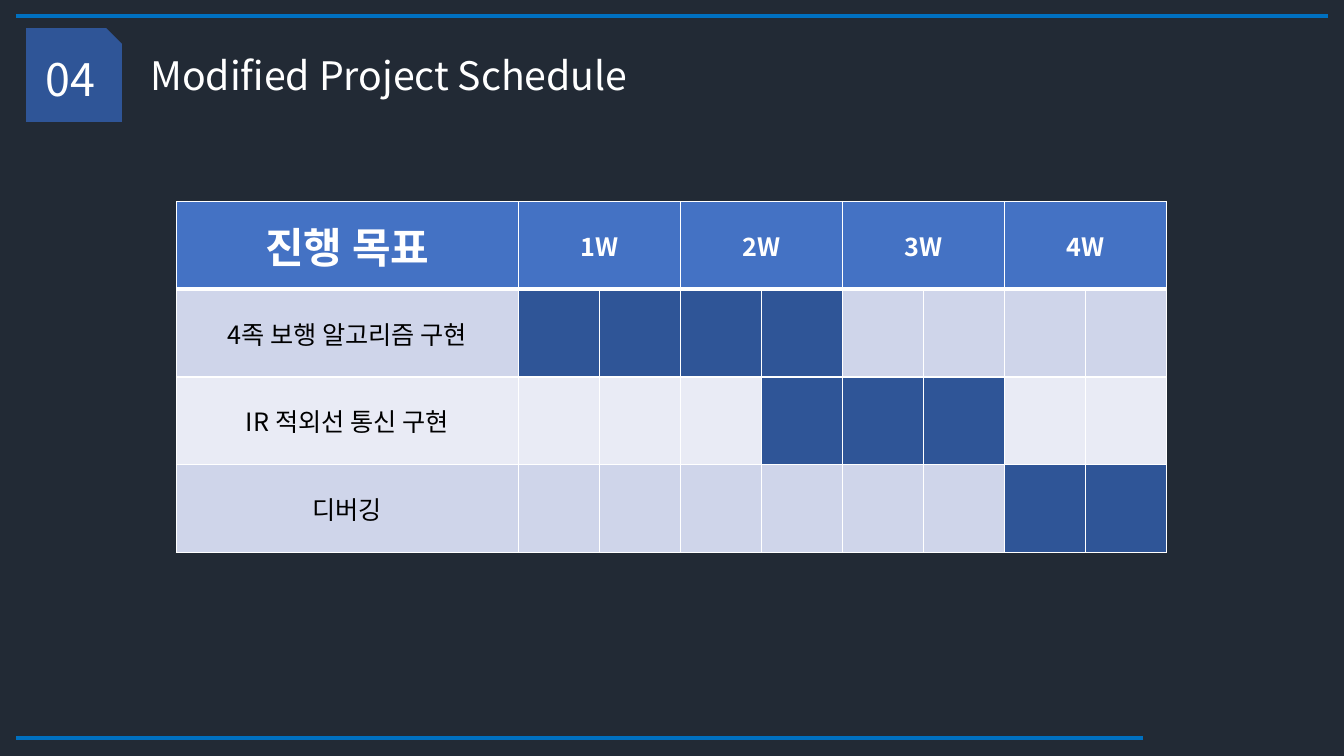
from lxml.etree import SubElement
from pptx import Presentation
from pptx.dml.color import RGBColor
from pptx.enum.shapes import MSO_CONNECTOR as Connector, MSO_SHAPE as Shape
from pptx.enum.text import MSO_ANCHOR as Anchor, PP_ALIGN as Align
from pptx.oxml.ns import qn
from pptx.util import Inches, Pt

NIGHT = RGBColor(0x22, 0x2A, 0x35)
NAVY = RGBColor(0x2F, 0x55, 0x97)
RULE_BLUE = RGBColor(0x00, 0x70, 0xC0)
HEADER_BLUE = RGBColor(0x44, 0x72, 0xC4)
BAND_DARK = RGBColor(0xCF, 0xD5, 0xEA)
BAND_LIGHT = RGBColor(0xE9, 0xEB, 0xF5)
WHITE = RGBColor(0xFF, 0xFF, 0xFF)
BLACK = RGBColor(0x00, 0x00, 0x00)
FONT = "Noto Sans CJK KR"

WEEKS = ["1W", "2W", "3W", "4W"]
TASKS = [
    ("4족 보행 알고리즘 구현", range(1, 5)),
    ("IR 적외선 통신 구현", range(4, 7)),
    ("디버깅", range(7, 9)),
]


def write(frame, text, size=18, color=WHITE, bold=False, align=Align.CENTER):
    para = frame.paragraphs[0]
    para.alignment = align
    span = para.add_run()
    span.text = text
    font = span.font
    font.name, font.size, font.bold = FONT, Pt(size), bold
    font.color.rgb = color
    SubElement(font._element, qn("a:ea"), typeface=FONT)


class SchedulePage:
    def __init__(self, deck):
        self.page = deck.slides.add_slide(deck.slide_layouts[5])
        self.page.background.fill.solid()
        self.page.background.fill.fore_color.rgb = NIGHT

    def title(self, text, left, top, width, height):
        box = self.page.shapes.title
        box.left, box.top = Inches(left), Inches(top)
        box.width, box.height = Inches(width), Inches(height)
        box.text_frame.vertical_anchor = Anchor.MIDDLE
        write(box.text_frame, text, size=28, align=Align.LEFT)

    def badge(self, text, left, top, width, height):
        box = self.page.shapes.add_shape(
            Shape.SNIP_1_RECTANGLE, Inches(left), Inches(top), Inches(width), Inches(height))
        box.shadow.inherit = False
        box.fill.solid()
        box.fill.fore_color.rgb = NAVY
        box.line.fill.background()
        box.text_frame.vertical_anchor = Anchor.MIDDLE
        write(box.text_frame, text, size=32)

    def rule(self, left, right, y):
        line = self.page.shapes.add_connector(
            Connector.STRAIGHT, Inches(left), Inches(y), Inches(right), Inches(y))
        line.line.color.rgb = RULE_BLUE
        line.line.width = Pt(3)
        SubElement(line._element.spPr, qn("a:effectLst"))

    def style_cell(self, cell, fill, top=1, bottom=1):
        properties = cell._tc.get_or_add_tcPr()
        for side, width in (("L", 1), ("R", 1), ("T", top), ("B", bottom)):
            border = SubElement(properties, qn(f"a:ln{side}"), w=str(Pt(width)))
            solid = SubElement(border, qn("a:solidFill"))
            SubElement(solid, qn("a:srgbClr"), val=str(WHITE))
        cell.fill.solid()
        cell.fill.fore_color.rgb = fill
        cell.vertical_anchor = Anchor.MIDDLE

    def schedule(self, left, top, width, height, label_width):
        halves = 2 * len(WEEKS)
        table = self.page.shapes.add_table(
            len(TASKS) + 1, halves + 1,
            Inches(left), Inches(top), Inches(width), Inches(height)).table
        for index, column in enumerate(table.columns):
            column.width = Inches((width - label_width) / halves if index else label_width)

        for column in range(halves + 1):
            self.style_cell(table.cell(0, column), HEADER_BLUE, bottom=3)
        write(table.cell(0, 0).text_frame, "진행 목표", size=30, bold=True)
        for index, week in enumerate(WEEKS):
            first = table.cell(0, 2 * index + 1)
            first.merge(table.cell(0, 2 * index + 2))
            write(first.text_frame, week, bold=True)

        for row, (task, active) in enumerate(TASKS, start=1):
            band = BAND_DARK if row % 2 else BAND_LIGHT
            for column in range(halves + 1):
                fill = NAVY if column in active else band
                self.style_cell(table.cell(row, column), fill, top=3 if row == 1 else 1)
            write(table.cell(row, 0).text_frame, task, color=BLACK)


def main():
    deck = Presentation()
    deck.slide_width, deck.slide_height = Inches(13.33), Inches(7.5)
    page = SchedulePage(deck)
    page.badge("04", 0.26, 0.28, 0.95, 0.93)
    page.rule(0.16, 13.17, 0.16)
    page.rule(0.16, 11.34, 7.32)
    page.title("Modified Project Schedule", 1.39, 0.46, 5.05, 0.57)
    page.schedule(1.75, 2, 9.82, 3.48, label_width=3.39)
    deck.save("out.pptx")


if __name__ == "__main__":
    main()
